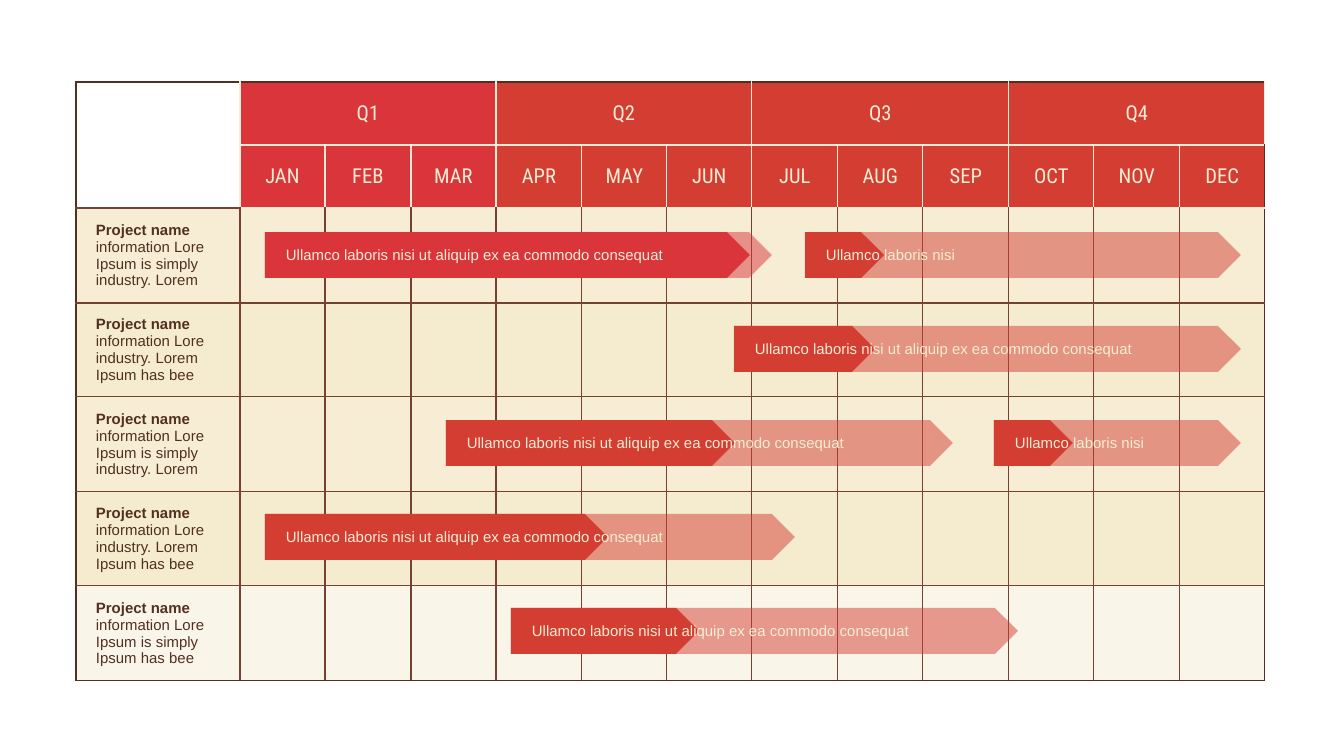
import pptx
import pptx.dml.color
import pptx.enum.shapes
import pptx.enum.text
import pptx.oxml
import pptx.oxml.ns
import pptx.util
from lxml import etree

PX = 914400 / 134.4
RED = pptx.dml.color.RGBColor(0xDA, 0x35, 0x3B)
BRICK = pptx.dml.color.RGBColor(0xD3, 0x3D, 0x32)
CREAM = pptx.dml.color.RGBColor(0xF6, 0xED, 0xD4)
SAND = pptx.dml.color.RGBColor(0xED, 0xD8, 0x9E)
BROWN = pptx.dml.color.RGBColor(0x75, 0x42, 0x31)
DARK = pptx.dml.color.RGBColor(0x52, 0x2F, 0x21)

MONTHS = "JAN FEB MAR APR MAY JUN JUL AUG SEP OCT NOV DEC".split()
LONG = "Ullamco laboris nisi ut aliquip ex ea commodo consequat"
SHORT = "Ullamco laboris nisi"
SIMPLY = "information Lore Ipsum is simply industry. Lorem"
INDUSTRY = "information Lore industry. Lorem Ipsum has bee"
PROJECTS = [
    (SIMPLY, CREAM, 100),
    (INDUSTRY, SAND, 50),
    (SIMPLY, CREAM, 100),
    (INDUSTRY, SAND, 50),
    ("information Lore Ipsum is simply Ipsum has bee", CREAM, 50),
]
BARS = [
    (1, 734, 507, 141, LONG, BRICK),
    (0, 265, 507, 485, LONG, RED),
    (3, 265, 530, 343, LONG, BRICK),
    (4, 511, 507, 188, LONG, BRICK),
    (2, 446, 507, 289, LONG, BRICK),
    (2, 994, 247, 79, SHORT, BRICK),
    (0, 805, 436, 79, SHORT, BRICK),
]
HEADER_ROWS = 2
LAST_ROW = HEADER_ROWS + len(PROJECTS) - 1
LAST_COLUMN = len(MONTHS)


def px(value):
    return pptx.util.Emu(round(value * PX))


def split_evenly(total, count):
    edges = [round(total * index / count) for index in range(count + 1)]
    return [end - start for start, end in zip(edges, edges[1:])]


def fill_solid(fill, color, opacity=100):
    fill.solid()
    fill.fore_color.rgb = color
    if opacity < 100:
        for node in fill._xPr.iter(pptx.oxml.ns.qn("a:solidFill")):
            alpha = etree.SubElement(node[0], pptx.oxml.ns.qn("a:alpha"))
            alpha.set("val", str(opacity * 1000))


def add_run(paragraph, text, size, font, color, bold=False):
    run = paragraph.add_run()
    run.text = text
    run.font.size = pptx.util.Pt(size)
    run.font.name = font
    run.font.color.rgb = color
    run.font.bold = bold


def set_margins(holder, left=5):
    holder.margin_left = px(left)
    holder.margin_right = px(5)
    holder.margin_top = holder.margin_bottom = px(3)


def add_borders(cell, row, column):
    inner = CREAM if row < HEADER_ROWS and column else BROWN
    above = CREAM if row <= HEADER_ROWS and column else BROWN
    sides = {
        "L": DARK if column == 0 else CREAM if row < HEADER_ROWS else BROWN,
        "R": DARK if column == LAST_COLUMN else CREAM if row < HEADER_ROWS else BROWN,
        "T": DARK if row == 0 else above,
        "B": DARK if row == LAST_ROW else inner,
    }
    properties = cell._tc.get_or_add_tcPr()
    namespace = pptx.oxml.ns.nsdecls("a")
    for side, color in sides.items():
        properties.append(pptx.oxml.parse_xml(
            f'<a:ln{side} {namespace} w="9525"><a:solidFill>'
            f'<a:srgbClr val="{color}"/></a:solidFill></a:ln{side}>'))


def add_header_text(cell, text):
    paragraph = cell.text_frame.paragraphs[0]
    paragraph.alignment = pptx.enum.text.PP_ALIGN.CENTER
    add_run(paragraph, text, 11, "Roboto Condensed", CREAM)


def add_calendar(slide, left, top, width, height):
    label_width, header_height = 164, 63
    columns = [label_width] + split_evenly(width - label_width, len(MONTHS))
    rows = [header_height] * HEADER_ROWS
    rows += split_evenly(height - sum(rows), len(PROJECTS))
    table = slide.shapes.add_table(
        len(rows), len(columns), px(left), px(top), px(width), px(height)).table
    table.first_row = False
    table.horz_banding = False
    for column, size in zip(table.columns, columns):
        column.width = px(size)
    for row, size in zip(table.rows, rows):
        row.height = px(size)

    for row in range(len(rows)):
        for column in range(len(columns)):
            cell = table.cell(row, column)
            cell.vertical_anchor = pptx.enum.text.MSO_ANCHOR.MIDDLE
            set_margins(cell, 5 if column else 20)
            add_borders(cell, row, column)
            if row >= HEADER_ROWS:
                fill_solid(cell.fill, *PROJECTS[row - HEADER_ROWS][1:])
            elif column:
                fill_solid(cell.fill, RED if column <= 3 else BRICK)
            else:
                cell.fill.background()

    table.cell(0, 0).merge(table.cell(1, 0))
    for quarter in range(4):
        first = 1 + quarter * 3
        table.cell(0, first).merge(table.cell(0, first + 2))
        add_header_text(table.cell(0, first), f"Q{quarter + 1}")
    for column, month in enumerate(MONTHS, 1):
        add_header_text(table.cell(1, column), month)
    for row, project in enumerate(PROJECTS, HEADER_ROWS):
        paragraph = table.cell(row, 0).text_frame.paragraphs[0]
        add_run(paragraph, "Project name ", 8, "Arial", DARK, True)
        add_run(paragraph, project[0], 8, "Arial", DARK)


def add_progress_bar(slide, left, top, width, height, progress, text, color):
    group = slide.shapes.add_group_shape()
    for length, opacity in ((width, 50), (progress, 100)):
        arrow = group.shapes.add_shape(
            pptx.enum.shapes.MSO_SHAPE.PENTAGON,
            px(left), px(top), px(length), px(height))
        arrow.shadow.inherit = False
        arrow.line.fill.background()
        fill_solid(arrow.fill, color, opacity)
    label = group.shapes.add_textbox(
        px(left + 16), px(top + 11), px(418 if text == LONG else 192), px(24))
    label.text_frame.word_wrap = True
    set_margins(label.text_frame)
    add_run(label.text_frame.paragraphs[0], text, 8, "Arial", CREAM)


def main():
    presentation = pptx.Presentation()
    presentation.slide_width = px(1344)
    presentation.slide_height = px(756)
    slide = presentation.slides.add_slide(presentation.slide_layouts[6])
    add_calendar(slide, 76, 82, 1189, 599)
    for row, left, width, progress, text, color in BARS:
        add_progress_bar(slide, left, 232 + 94 * row, width, 46, progress, text, color)
    presentation.save("out.pptx")


if __name__ == "__main__":
    main()
